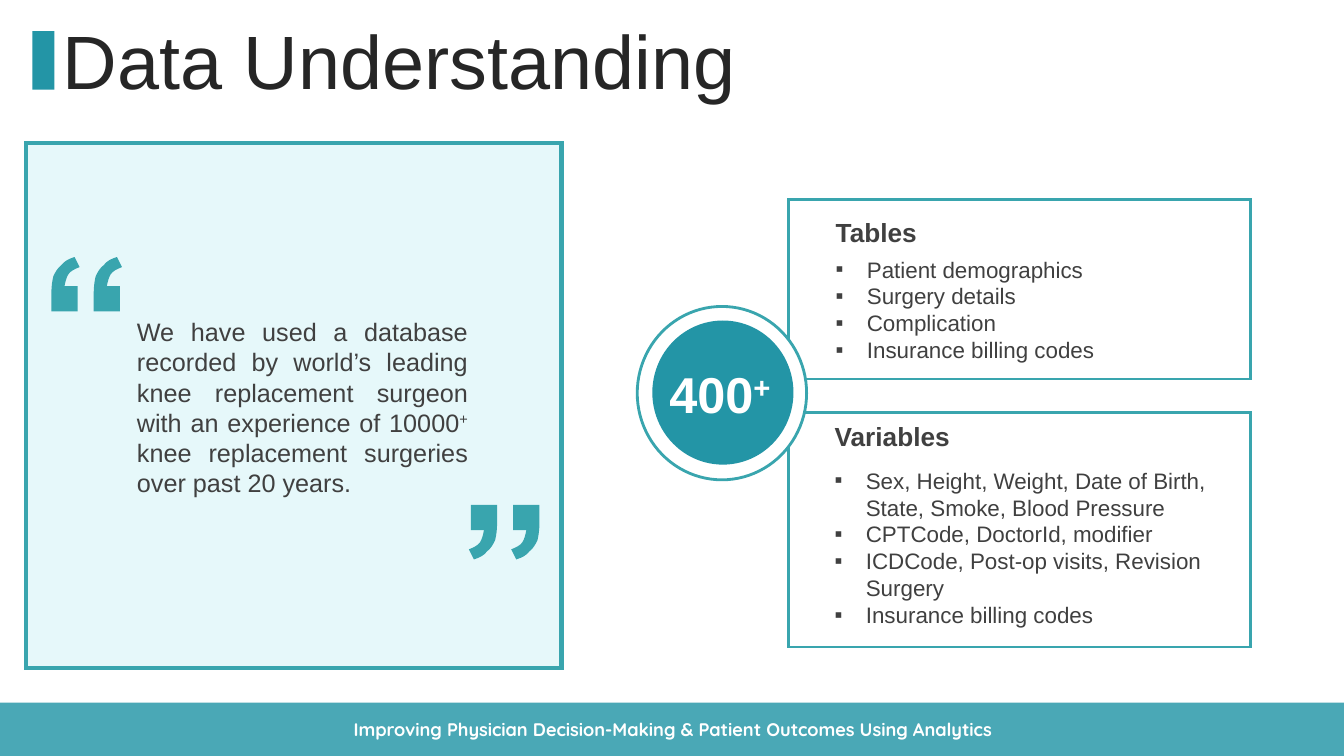
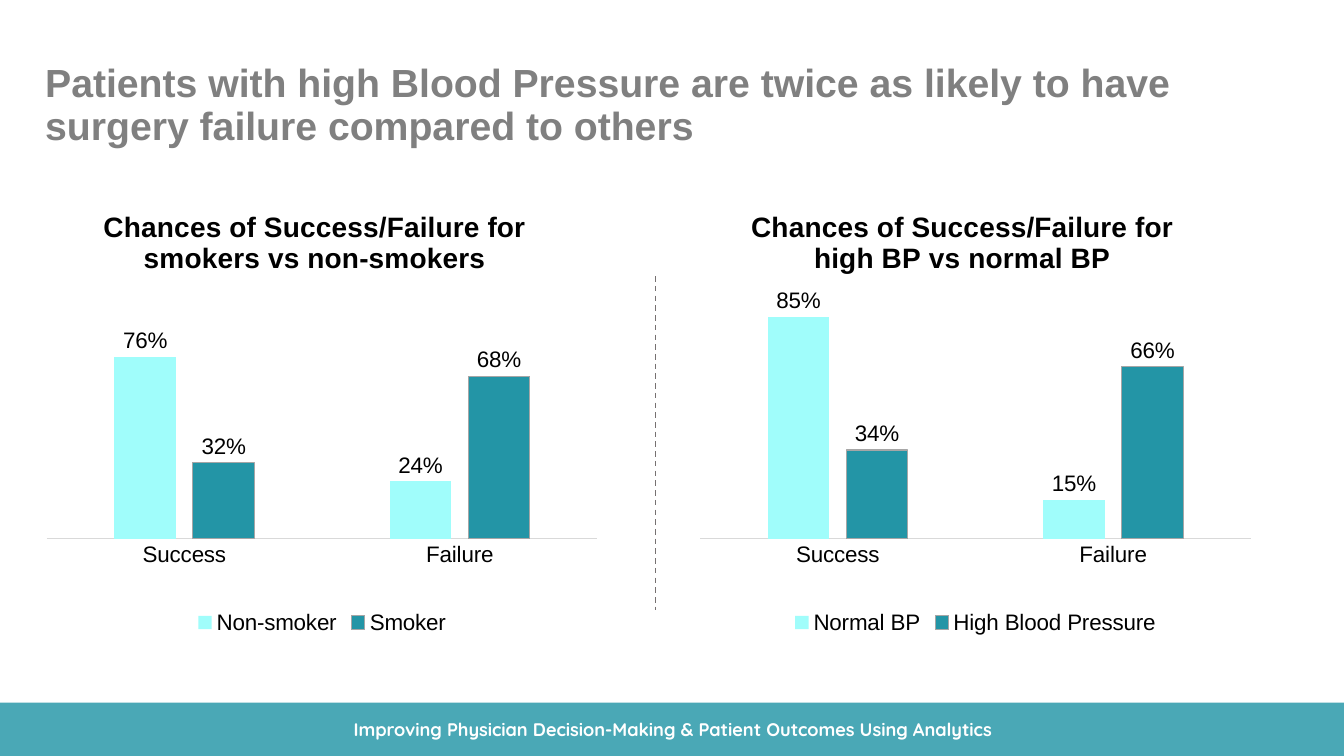
"""Build two slides on knee surgery data and chances of surgery success."""
from lxml import etree
from pptx import Presentation
from pptx.chart.data import CategoryChartData
from pptx.dml.color import RGBColor
from pptx.enum.chart import XL_CHART_TYPE as CT, XL_LABEL_POSITION as LP
from pptx.enum.chart import XL_LEGEND_POSITION as LEG, XL_TICK_MARK as TM
from pptx.enum.dml import MSO_LINE
from pptx.enum.shapes import MSO_CONNECTOR, MSO_SHAPE as SH
from pptx.enum.text import MSO_ANCHOR as MA, PP_ALIGN as AL
from pptx.oxml.ns import qn
from pptx.util import Inches, Pt

COLORS = {
    "teal": "2395A6",
    "edge": "39A5AE",
    "pale": "E6F8FA",
    "aqua": "A0FDFB",
    "white": "FFFFFF",
    "black": "000000",
    "title": "262626",
    "body": "404040",
    "headline": "808080",
    "axis": "D9D9D9",
    "bar_edge": "A6A6A6",
    "divider": "767171",
}
FONT = "Arial"
FOOTER = "Improving Physician Decision-Making & Patient Outcomes Using Analytics"
QUOTE_START = (0.23, 0)
QUOTE_STEPS = [
    [(0.28, 0.10)],
    [(0.23, 0.12), (0.19, 0.14), (0.17, 0.17)],
    [(0.15, 0.20), (0.14, 0.24), (0.13, 0.29)],
    [(0.26, 0.29)], [(0.26, 0.54)], [(0, 0.54)], [(0, 0.36)],
    [(0, 0.29), (0.01, 0.23), (0.02, 0.19)],
    [(0.04, 0.15), (0.06, 0.11), (0.10, 0.08)],
    [(0.13, 0.04), (0.17, 0.02), QUOTE_START],
]


def rgb(name):
    return RGBColor.from_string(COLORS[name])


def style_font(font, size, color="black", bold=False, name=FONT):
    font.name, font.size, font.bold = name, Pt(size), bold
    font.color.rgb = rgb(color)


def paint(sp, fill, line=None, width=2):
    sp.shadow.inherit = False
    sp.fill.solid()
    sp.fill.fore_color.rgb = rgb(fill)
    if line:
        sp.line.color.rgb = rgb(line)
        sp.line.width = Pt(width)
        ln = sp._element.spPr.find(qn("a:ln"))
        etree.SubElement(ln, qn("a:miter")).set("lim", "800000")
    else:
        sp.line.fill.background()


def add_box(s, kind, box, fill, line=None, width=2):
    sp = s.shapes.add_shape(kind, *map(Inches, box))
    paint(sp, fill, line, width)
    return sp


def add_text(s, box, paragraphs, size, color, bold=False, name=FONT,
             align=AL.LEFT, anchor=MA.MIDDLE, wrap=True, spacing=None, bullet=None):
    """Add a text box; a "^" in a paragraph sets off superscript runs."""
    tf = s.shapes.add_textbox(*map(Inches, box)).text_frame
    tf.word_wrap, tf.vertical_anchor = wrap, anchor
    for i, text in enumerate(paragraphs):
        p = tf.paragraphs[0] if i == 0 else tf.add_paragraph()
        p.alignment, p.line_spacing = align, spacing
        if bullet:
            pPr = p._p.get_or_add_pPr()
            pPr.set("marL", str(Inches(0.31)))
            pPr.set("indent", str(-Inches(0.31)))
            etree.SubElement(pPr, qn("a:buFont")).set("typeface", FONT)
            etree.SubElement(pPr, qn("a:buChar")).set("char", bullet)
        for j, part in enumerate(text.split("^")):
            if not part:
                continue
            r = p.add_run()
            r.text = part
            style_font(r.font, size, color, bold, name)
            if j % 2:
                r._r.get_or_add_rPr().set("baseline", "30000")


def add_footer(s):
    band = add_box(s, SH.RECTANGLE, (0, 6.97, 13.33, 0.54), "teal")
    clr = band.fill._xPr.find(qn("a:solidFill"))[0]
    etree.SubElement(clr, qn("a:alpha")).set("val", "82000")
    add_text(s, (2.01, 7.08, 9.32, 0.33), [FOOTER], 13, "white", True,
             "Quicksand", AL.CENTER, MA.TOP)


def add_quote(s, left, top, rotation=0):
    """Draw a pair of quote marks, with curves where a step has three points."""
    marks = [[[(Inches(left + dx + x), Inches(top + y)) for x, y in step]
              for step in [[QUOTE_START]] + QUOTE_STEPS] for dx in (0, 0.42)]
    fb = s.shapes.build_freeform(*marks[0][0][0])
    for i, (start, *steps) in enumerate(marks):
        if i:
            fb.move_to(*start[0])
        fb.add_line_segments([step[-1] for step in steps], close=True)
    sp = fb.convert_to_shape()
    lines = list(sp._element.iter(qn("a:lnTo")))
    for line, step in zip(lines, marks[0][1:] + marks[1][1:]):
        if len(step) == 3:
            curve = etree.Element(qn("a:cubicBezTo"))
            for x, y in step:
                pt = etree.SubElement(curve, qn("a:pt"))
                pt.set("x", str(x - sp.left))
                pt.set("y", str(y - sp.top))
            line.getparent().replace(line, curve)
    paint(sp, "edge")
    sp.rotation = rotation


def add_list_card(s, card, heading, heading_box, items, items_box, align=AL.LEFT):
    add_box(s, SH.RECTANGLE, card, "white", "edge")
    add_text(s, heading_box, [heading], 18.7, "body", True)
    add_text(s, items_box, items, 16, "body", align=align, bullet="▪")


def set_layout(parent, index, **values):
    """Give a chart part a manual layout in fractions of the chart."""
    for old in parent.findall(qn("c:layout")):
        parent.remove(old)
    layout = etree.Element(qn("c:layout"))
    manual = etree.SubElement(layout, qn("c:manualLayout"))
    if "w" in values:
        etree.SubElement(manual, qn("c:layoutTarget")).set("val", "inner")
    for tag in ("xMode", "yMode"):
        etree.SubElement(manual, qn("c:" + tag)).set("val", "edge")
    for tag, value in values.items():
        etree.SubElement(manual, qn("c:" + tag)).set("val", str(value))
    parent.insert(index, layout)


def add_columns(s, left, title, title_x, series, top, height, maximum):
    data = CategoryChartData(number_format="0%")
    data.categories = ["Success", "Failure"]
    for name, values in series:
        data.add_series(name, values)
    box = map(Inches, (left, 2.02, 5.69, 4.32))
    chart = s.shapes.add_chart(CT.COLUMN_CLUSTERED, *box, data).chart
    style_font(chart.font, 16)
    chart.has_title = True
    p = chart.chart_title.text_frame.paragraphs[0]
    p.text = title
    style_font(p.runs[0].font, 20, bold=True)
    set_layout(chart.chart_title._element, 1, x=title_x, y=0)
    set_layout(chart._chartSpace.chart.plotArea, 0, x=0.02, y=top, w=0.96, h=height)
    chart.has_legend = True
    chart.legend.position = LEG.BOTTOM
    chart.legend.include_in_layout = False
    style_font(chart.legend.font, 16)

    values, cats = chart.value_axis, chart.category_axis
    values.visible = values.has_major_gridlines = False
    values.minimum_scale, values.maximum_scale = 0, maximum
    cats.major_tick_mark = TM.NONE
    cats.format.line.color.rgb = rgb("axis")
    cats.format.line.width = Pt(0.75)
    style_font(cats.tick_labels.font, 16)

    plot = chart.plots[0]
    plot.gap_width, plot.overlap, plot.vary_by_categories = 219, -27, False
    plot.has_data_labels = True
    labels = plot.data_labels
    labels.show_value, labels.position = True, LP.OUTSIDE_END
    labels.number_format, labels.number_format_is_linked = "0%", False
    style_font(labels.font, 16)
    for ser, color in zip(plot.series, ("aqua", "teal")):
        ser.format.fill.solid()
        ser.format.fill.fore_color.rgb = rgb(color)
    ser.format.line.color.rgb = rgb("bar_edge")
    ser.format.line.width = Pt(0.75)


def add_divider(s, x, top, bottom):
    line = s.shapes.add_connector(MSO_CONNECTOR.STRAIGHT, *map(Inches, (x, top, x, bottom)))
    line.line.color.rgb = rgb("divider")
    line.line.width = Pt(1)
    line.line.dash_style = MSO_LINE.DASH
    etree.SubElement(line._element.spPr, qn("a:effectLst"))


def build_data_slide(s):
    add_box(s, SH.RECTANGLE, (0.26, 1.42, 5.31, 5.21), "pale", "edge", 3)
    add_text(s, (1.26, 3.09, 3.48, 1.92),
             ["We have used a database recorded by world’s leading knee replacement "
              "surgeon with an experience of 10000^+^ knee replacement surgeries "
              "over past 20 years."],
             18, "body", align=AL.JUSTIFY, anchor=MA.TOP)
    add_quote(s, 0.51, 2.55)
    add_quote(s, 4.65, 5.01, 180)
    add_text(s, (0.04, 0.25, 7.84, 0.79), ["Data Understanding"], 54, "title",
             align=AL.CENTER, spacing=0.9)
    add_box(s, SH.RECTANGLE, (0.32, 0.31, 0.22, 0.58), "teal")
    add_footer(s)
    add_list_card(s, (7.82, 1.98, 4.58, 1.78), "Tables", (8.19, 2.09, 2.65, 0.42),
                  ["Patient demographics", "Surgery details", "Complication",
                   "Insurance billing codes"], (8.19, 2.48, 3.26, 1.18), AL.JUSTIFY)
    add_list_card(s, (7.82, 4.09, 4.58, 2.33), "Variables", (8.18, 4.03, 3.87, 0.6),
                  ["Sex, Height, Weight, Date of Birth, State, Smoke, Blood Pressure",
                   "CPTCode, DoctorId, modifier",
                   "ICDCode, Post-op visits, Revision Surgery",
                   "Insurance billing codes"], (8.18, 4.57, 4.34, 1.72))
    add_box(s, SH.OVAL, (6.32, 3.04, 1.68, 1.72), "white", "edge")
    add_box(s, SH.OVAL, (6.47, 3.18, 1.4, 1.43), "teal")
    add_text(s, (6.54, 3.55, 1.24, 0.71), ["400^+"], 36, "white", True, wrap=False)


def build_chart_slide(s):
    add_text(s, (0.35, 0.66, 12.66, 0.79),
             ["Patients with high Blood Pressure are twice as likely to have "
              "surgery failure compared to others"], 28, "headline", True, spacing=0.9)
    add_columns(s, 6.83, "Chances of Success/Failure for high BP vs normal BP", 0.1,
                [("Normal BP", (0.85, 0.15)), ("High Blood Pressure", (0.34, 0.66))],
                0.23, 0.54, 0.9)
    add_columns(s, 0.35, "Chances of Success/Failure for smokers vs non-smokers", 0.11,
                [("Non-smoker", (0.76, 0.24)), ("Smoker", (0.32, 0.68))],
                0.33, 0.44, 0.8)
    add_divider(s, 6.5, 2.74, 6.05)
    add_footer(s)


def main():
    prs = Presentation()
    prs.slide_width, prs.slide_height = Inches(13.33), Inches(7.5)
    for build in (build_data_slide, build_chart_slide):
        build(prs.slides.add_slide(prs.slide_layouts[6]))
    prs.save("out.pptx")


if __name__ == "__main__":
    main()
